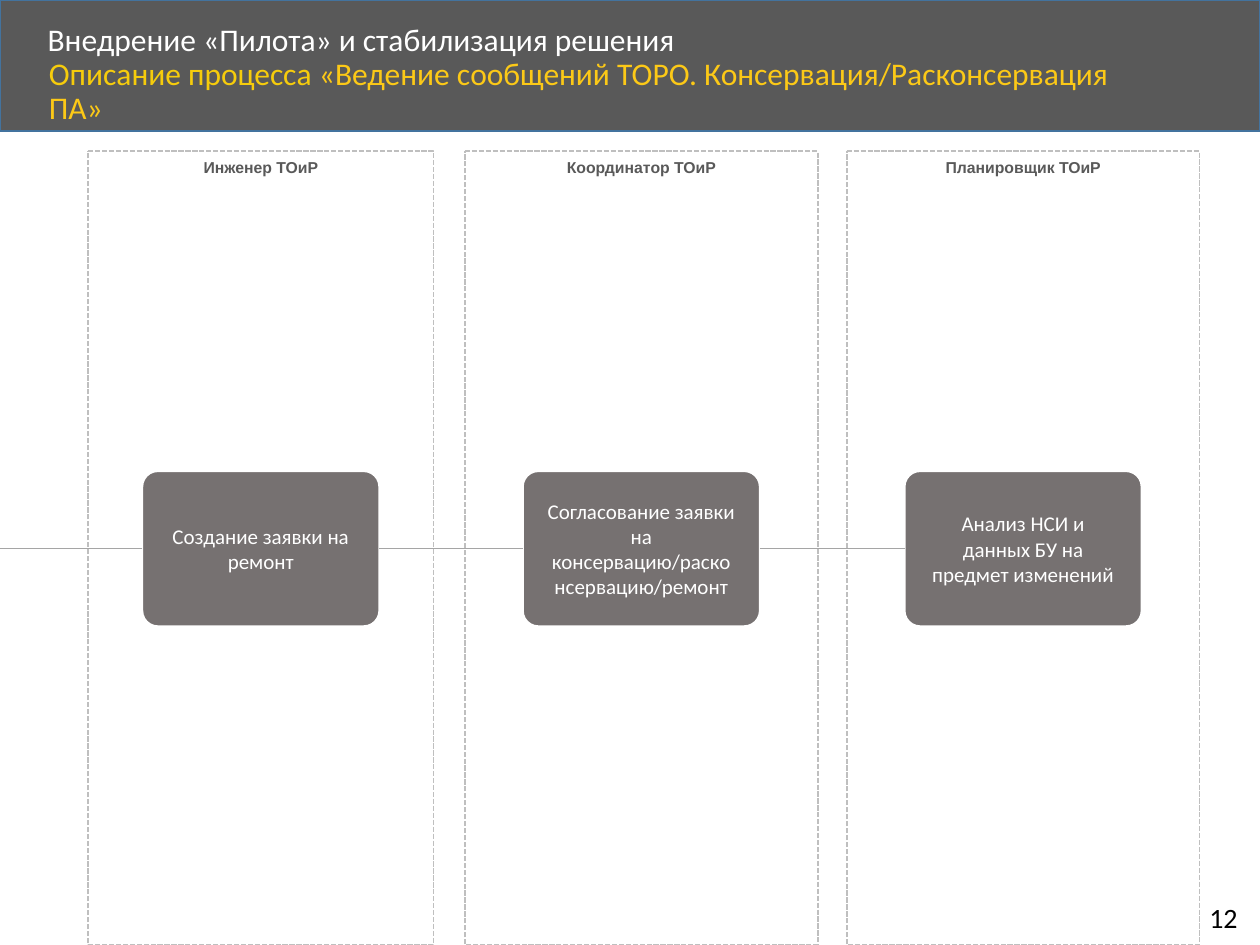
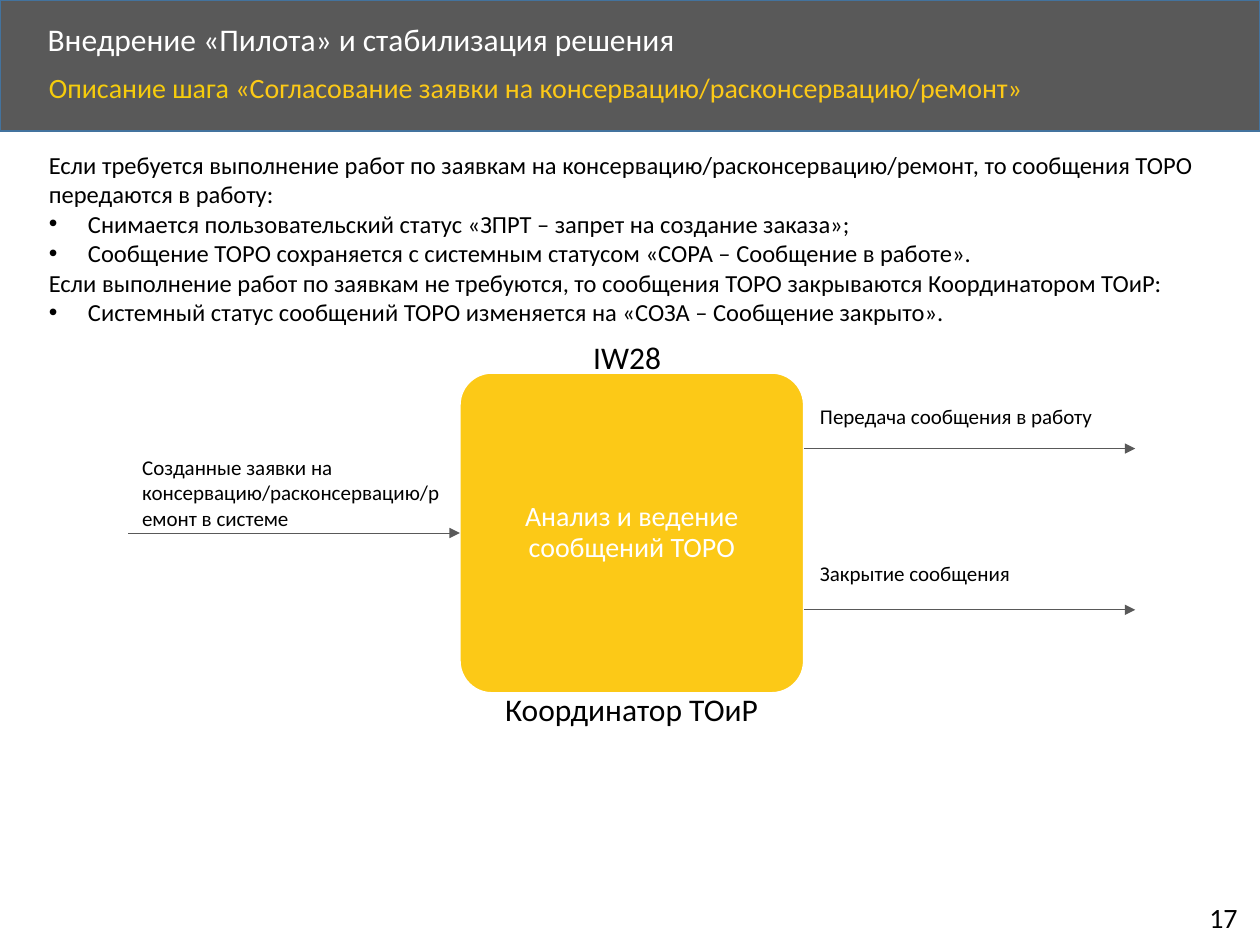
from lxml.etree import SubElement
from pptx import Presentation
from pptx.dml.color import RGBColor
from pptx.enum.dml import MSO_LINE
from pptx.enum.shapes import MSO_CONNECTOR, MSO_SHAPE as SHAPE
from pptx.enum.text import MSO_ANCHOR as ANCHOR, PP_ALIGN as ALIGN
from pptx.oxml.ns import qn
from pptx.util import Inches, Pt

W, H = 10, 7.5
COLORS = {
    "white": "FFFFFF", "black": "000000", "dark": "595959", "edge": "43739E",
    "gold": "F6CC0C", "yellow": "FCC917", "card": "767171",
    "dash": "BFBFBF", "link": "A5A5A5",
}

TITLE = "Внедрение «Пилота» и стабилизация решения"
PROCESS = {
    "number": "12",
    "subtitle": ("Описание процесса ", "«Ведение сообщений ТОРО. Консервация/Расконсервация ПА»"),
    "subtitle_top": 0.41, "subtitle_size": 18,
}
LANES = [
    (0.7, 2.74, "Инженер ТОиР", "Создание заявки на ремонт"),
    (3.69, 2.8, "Координатор ТОиР", "Согласование заявки на консервацию/расконсервацию/ремонт"),
    (6.72, 2.8, "Планировщик ТОиР", "Анализ НСИ и данных БУ на предмет изменений"),
]
LANE_TOP = 1.2
CARD_TOP, CARD_W, CARD_H = 3.74, 1.88, 1.23

STEP = {
    "number": "17",
    "subtitle": ("Описание шага ", "«Согласование заявки на консервацию/расконсервацию/ремонт»"),
    "subtitle_top": 0.54, "subtitle_size": 16,
}
RULES = [
    (False, "Если требуется выполнение работ по заявкам на консервацию/расконсервацию/ремонт, "
            "то сообщения ТОРО передаются в работу:"),
    (True, "Снимается пользовательский статус «ЗПРТ – запрет на создание заказа»;"),
    (True, "Сообщение ТОРО сохраняется с системным статусом «СОРА – Сообщение в работе»."),
    (False, "Если выполнение работ по заявкам не требуются, то сообщения ТОРО закрываются "
            "Координатором ТОиР:"),
    (True, "Системный статус сообщений ТОРО изменяется на «СОЗА – Сообщение закрыто»."),
]
STEP_BOX = (3.65, 2.96, 2.73, 2.54)
STEP_TEXT = "Анализ и ведение сообщений ТОРО"
TRANSACTION, ROLE = "IW28", "Координатор ТОиР"
INPUT = "Созданные заявки на консервацию/расконсервацию/ремонт в системе"
OUTPUTS = [(3.15, 3.56, "Передача сообщения в работу"), (4.4, 4.84, "Закрытие сообщения")]
ARROW_W = 2.63


def rgb(name):
    return RGBColor.from_string(COLORS[name])


def add_bullet(p, indent=0.31):
    pPr = p._p.get_or_add_pPr()
    pPr.set("marL", str(Inches(indent)))
    pPr.set("indent", str(-Inches(indent)))
    SubElement(pPr, qn("a:buFont")).set("typeface", "Arial")
    SubElement(pPr, qn("a:buChar")).set("char", "•")


def write(sp, paragraphs, size=12, color="black", font="Calibri", bold=False,
          align=ALIGN.LEFT, anchor=ANCHOR.TOP, spacing=None, wrap=True, inset=0.1):
    """Each paragraph is a pair: bullet flag and text, or a list of (text, color) runs."""
    if isinstance(paragraphs, str):
        paragraphs = [(False, paragraphs)]
    tf = sp.text_frame
    tf.word_wrap, tf.vertical_anchor = wrap, anchor
    tf.margin_left = tf.margin_right = Inches(inset)
    for i, (bullet, runs) in enumerate(paragraphs):
        p = tf.paragraphs[0] if i == 0 else tf.add_paragraph()
        p.alignment = align
        if spacing:
            p.line_spacing = spacing
        if bullet:
            add_bullet(p)
        for text, run_color in [(runs, color)] if isinstance(runs, str) else runs:
            r = p.add_run()
            r.text = text
            r.font.name, r.font.size, r.font.bold = font, Pt(size), bold
            r.font.color.rgb = rgb(run_color)


def add_text(s, box, text, **fmt):
    write(s.shapes.add_textbox(*map(Inches, box)), text, **fmt)


def add_box(s, kind, box, line, fill=None, radius=None):
    sp = s.shapes.add_shape(kind, *map(Inches, box))
    sp.shadow.inherit = False
    if fill:
        sp.fill.solid()
        sp.fill.fore_color.rgb = rgb(fill)
    else:
        sp.fill.background()
    sp.line.color.rgb, sp.line.width = rgb(line), Pt(1)
    if radius is not None:
        sp.adjustments[0] = radius
    return sp


def add_line(s, x1, x2, y, color, begin=None, end=None, arrow=False):
    c = s.shapes.add_connector(MSO_CONNECTOR.STRAIGHT, *map(Inches, (x1, y, x2, y)))
    if begin:
        c.begin_connect(*begin)
    if end:
        c.end_connect(*end)
    c.line.color.rgb, c.line.width = rgb(color), Pt(0.5)
    if arrow:
        SubElement(c.line._get_or_add_ln(), qn("a:tailEnd")).set("type", "triangle")
    SubElement(c._element.spPr, qn("a:effectLst"))


def add_slide(prs, info):
    s = prs.slides.add_slide(prs.slide_layouts[6])
    add_box(s, SHAPE.RECTANGLE, (0, 0, W, 1.04), "edge", "dark")
    add_text(s, (0.28, 0.14, 8.07, 0.38), TITLE, size=18, color="white",
             anchor=ANCHOR.MIDDLE, spacing=0.9)
    add_text(s, (9.5, 7.1, 0.46, 0.37), info["number"], size=16, wrap=False)
    runs = list(zip(info["subtitle"], ("gold", "yellow")))
    add_text(s, (0.29, info["subtitle_top"], 8.67, 0.45), [(False, runs)],
             size=info["subtitle_size"], spacing=0.9)
    return s


def build_process(prs):
    s = add_slide(prs, PROCESS)
    cards = []
    for left, width, role, task in LANES:
        lane = add_box(s, SHAPE.ROUNDED_RECTANGLE, (left, LANE_TOP, width, H - LANE_TOP),
                       "dash", radius=0)
        lane.line.dash_style = MSO_LINE.SQUARE_DOT
        write(lane, role, size=9, color="dark", font="Arial", bold=True, align=ALIGN.CENTER)
        card = add_box(s, SHAPE.ROUNDED_RECTANGLE,
                       (left + (width - CARD_W) / 2, CARD_TOP, CARD_W, CARD_H),
                       "white", "card", 0.1)
        write(card, task, color="white", align=ALIGN.CENTER, anchor=ANCHOR.MIDDLE, inset=0.16)
        cards.append(card)
    middle = CARD_TOP + CARD_H / 2
    add_line(s, LANES[0][0], 0, middle, "link", begin=(cards[0], 1))
    for a, b in zip(cards, cards[1:]):
        add_line(s, 0, W, middle, "link", begin=(a, 3), end=(b, 1))


def build_step(prs):
    s = add_slide(prs, STEP)
    left, top, width, height = STEP_BOX
    right = left + width
    box = add_box(s, SHAPE.ROUNDED_RECTANGLE, STEP_BOX, "white", "yellow", 0.1)
    write(box, STEP_TEXT, size=16, color="white", align=ALIGN.CENTER,
          anchor=ANCHOR.MIDDLE, spacing=0.9, inset=0.01)
    add_text(s, (0.29, 1.14, 9.46, 1.51), RULES, size=14)
    add_text(s, (4.61, 2.63, 0.75, 0.4), TRANSACTION, size=18, wrap=False)
    add_text(s, (3.91, 5.43, 2.21, 0.4), ROLE, size=18)
    add_text(s, (1.03, 3.56, 2.56, 0.71), INPUT)
    add_line(s, left - ARROW_W, left, top + height / 2, "dark", end=(box, 1), arrow=True)
    for label_top, y, label in OUTPUTS:
        add_text(s, (6.41, label_top, 2.57, 0.3), label)
        add_line(s, right, right + ARROW_W, y, "dark", arrow=True)


def main():
    prs = Presentation()
    prs.slide_width, prs.slide_height = Inches(W), Inches(H)
    build_process(prs)
    build_step(prs)
    prs.save("out.pptx")


if __name__ == "__main__":
    main()
